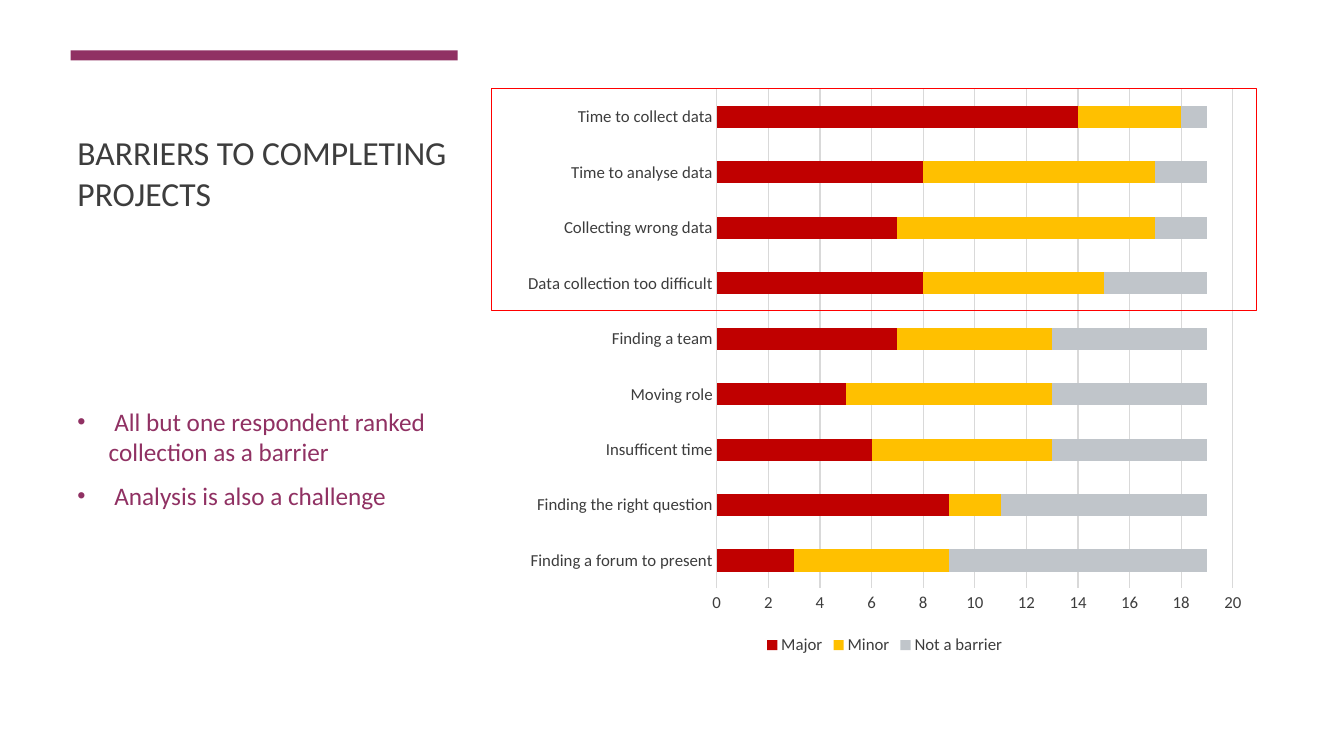
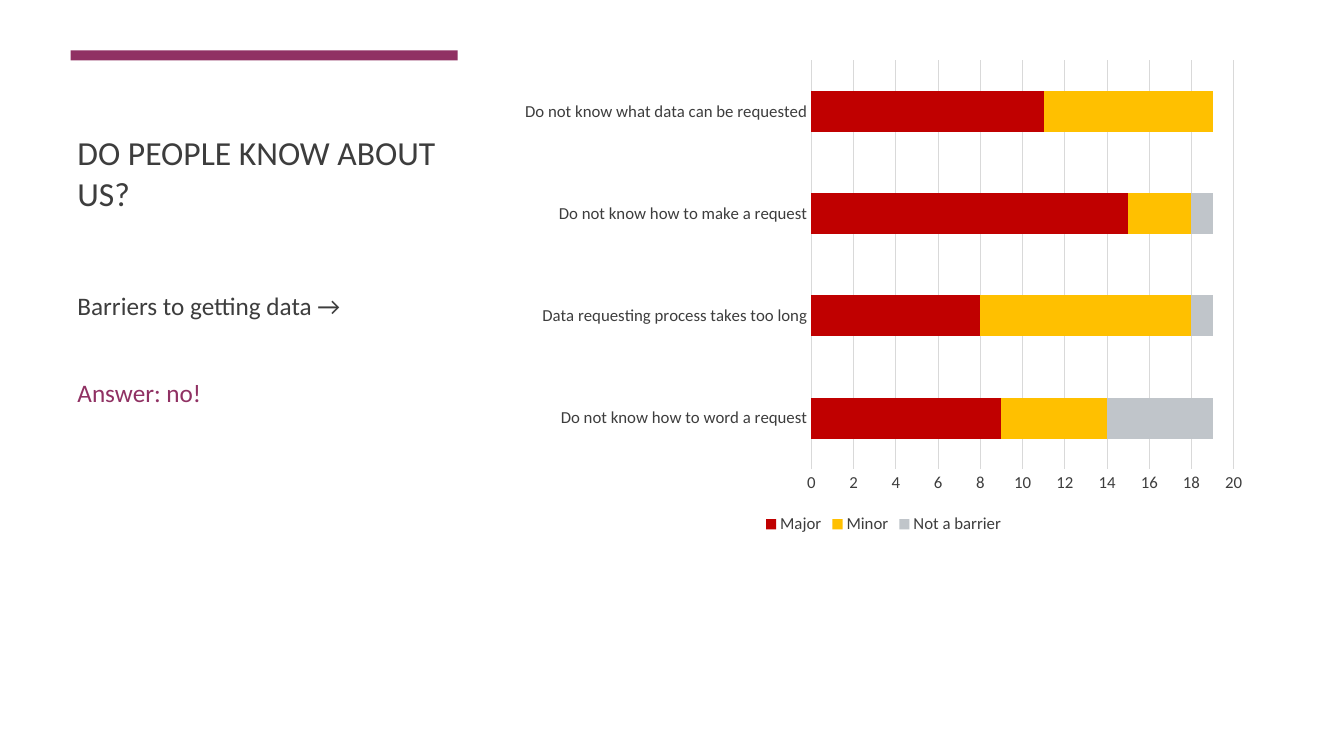
from lxml import etree
from pptx import Presentation
from pptx.chart.data import CategoryChartData
from pptx.dml.color import RGBColor
from pptx.enum.chart import XL_CHART_TYPE, XL_LEGEND_POSITION, XL_TICK_MARK
from pptx.enum.shapes import MSO_SHAPE
from pptx.enum.text import MSO_ANCHOR
from pptx.oxml.ns import qn
from pptx.util import Inches, Pt

BAR_STACKED = XL_CHART_TYPE.BAR_STACKED
LEGEND_BOTTOM = XL_LEGEND_POSITION.BOTTOM
NO_TICK = XL_TICK_MARK.NONE
RECTANGLE = MSO_SHAPE.RECTANGLE
BOTTOM, MIDDLE = MSO_ANCHOR.BOTTOM, MSO_ANCHOR.MIDDLE

FONT = "Calibri"
WHITE = RGBColor(0xFF, 0xFF, 0xFF)
INK = RGBColor(0x3D, 0x3D, 0x3D)
PLUM = RGBColor(0x90, 0x31, 0x63)
GRID = RGBColor(0xD9, 0xD9, 0xD9)
RED = RGBColor(0xFF, 0x00, 0x00)
RATINGS = [
    ("Major", RGBColor(0xC0, 0x00, 0x00)),
    ("Minor", RGBColor(0xFF, 0xC0, 0x00)),
    ("Not a barrier", RGBColor(0xC0, 0xC5, 0xCA)),
]

TITLE_AREA = (0.67, 0.77, 3.9, 1.39)
BAND_AREA = (0.7, 0.5, 3.84, 0.1)
BULLET_INDENT = 0.31

SLIDES = [
    {
        "title": "BARRIERS TO COMPLETING PROJECTS",
        "text_area": (0.67, 2.56, 3.9, 3.97),
        "bullets": True,
        "gap_before": 3.6,
        "lines": [
            (" All but one respondent ranked collection as a barrier", PLUM),
            (" Analysis is also a challenge", PLUM),
        ],
        "chart_area": (5.09, 0.77, 7.37, 5.77),
        "answers": [
            ("Finding a forum to present", 3, 6, 10),
            ("Finding the right question", 9, 2, 8),
            ("Insufficent time", 6, 7, 6),
            ("Moving role", 5, 8, 6),
            ("Finding a team", 7, 6, 6),
            ("Data collection too difficult", 8, 7, 4),
            ("Collecting wrong data", 7, 10, 2),
            ("Time to analyse data", 8, 9, 2),
            ("Time to collect data", 14, 4, 1),
        ],
        "highlight_area": (4.87, 0.88, 7.59, 2.2),
    },
    {
        "title": "DO PEOPLE KNOW ABOUT US?",
        "text_area": (0.67, 2.32, 3.9, 2.28),
        "bullets": False,
        "gap_before": 35,
        "lines": [("Barriers to getting data →", INK), ("Answer: no!", PLUM)],
        "chart_area": (5.06, 0.5, 7.41, 4.84),
        "answers": [
            ("Do not know how to word a request", 9, 5, 5),
            ("Data requesting process takes too long", 8, 10, 1),
            ("Do not know how to make a request", 15, 3, 1),
            ("Do not know what data can be requested", 11, 8, None),
        ],
        "highlight_area": None,
    },
]


def inches(area):
    return [Inches(length) for length in area]


def style_font(font, size, color):
    font.name = FONT
    font.size = Pt(size)
    font.color.rgb = color


def add_bullet(para):
    properties = para._p.get_or_add_pPr()
    properties.set("marL", str(Inches(BULLET_INDENT)))
    properties.set("indent", str(-Inches(BULLET_INDENT)))
    color = etree.SubElement(properties, qn("a:buClr"))
    etree.SubElement(color, qn("a:srgbClr"), val=str(PLUM))
    etree.SubElement(properties, qn("a:buSzPct"), val="92000")
    etree.SubElement(properties, qn("a:buFont"), typeface="Arial")
    etree.SubElement(properties, qn("a:buChar"), char="•")


def add_text(page, area, lines, size, anchor, gap_before=0, gap_after=0, bullets=False):
    frame = page.shapes.add_textbox(*inches(area)).text_frame
    frame.word_wrap = True
    frame.vertical_anchor = anchor
    for index, (text, color) in enumerate(lines):
        para = frame.add_paragraph() if index else frame.paragraphs[0]
        para.text = text
        style_font(para.font, size, color)
        para.space_before = Pt(gap_before if index else 0)
        para.space_after = Pt(gap_after)
        if bullets:
            add_bullet(para)


def add_rectangle(page, area, fill=None, line=None):
    box = page.shapes.add_shape(RECTANGLE, *inches(area))
    box.shadow.inherit = False
    if fill is None:
        box.fill.background()
    else:
        box.fill.solid()
        box.fill.fore_color.rgb = fill
    if line is None:
        box.line.fill.background()
    else:
        box.line.color.rgb = line
        box.line.width = Pt(0.75)


def add_ratings_chart(page, area, answers):
    categories, *columns = zip(*answers)
    data = CategoryChartData()
    data.categories = categories
    for (name, _), values in zip(RATINGS, columns):
        data.add_series(name, values)
    chart = page.shapes.add_chart(BAR_STACKED, *inches(area), data).chart
    style_font(chart.font, 10, INK)
    chart.has_title = False

    plot = chart.plots[0]
    plot.gap_width = 150
    plot.overlap = 100
    plot.vary_by_categories = False
    for series, (_, color) in zip(plot.series, RATINGS):
        series.format.fill.solid()
        series.format.fill.fore_color.rgb = color

    for axis in (chart.category_axis, chart.value_axis):
        axis.major_tick_mark = NO_TICK
        axis.minor_tick_mark = NO_TICK
        style_font(axis.tick_labels.font, 12, INK)
    chart.value_axis.has_major_gridlines = True
    chart.value_axis.format.line.fill.background()
    for line in (chart.category_axis.format.line,
                 chart.value_axis.major_gridlines.format.line):
        line.color.rgb = GRID
        line.width = Pt(0.75)

    chart.has_legend = True
    chart.legend.position = LEGEND_BOTTOM
    chart.legend.include_in_layout = False
    style_font(chart.legend.font, 12, INK)


deck = Presentation()
deck.slide_width, deck.slide_height = Inches(13.33), Inches(7.5)
for content in SLIDES:
    page = deck.slides.add_slide(deck.slide_layouts[6])
    page.background.fill.solid()
    page.background.fill.fore_color.rgb = WHITE
    add_text(page, TITLE_AREA, [(content["title"], INK)], 24, BOTTOM)
    add_rectangle(page, BAND_AREA, fill=PLUM)
    add_text(page, content["text_area"], content["lines"], 18, MIDDLE,
             content["gap_before"], 6, content["bullets"])
    add_ratings_chart(page, content["chart_area"], content["answers"])
    if content["highlight_area"]:
        add_rectangle(page, content["highlight_area"], line=RED)
deck.save("out.pptx")
